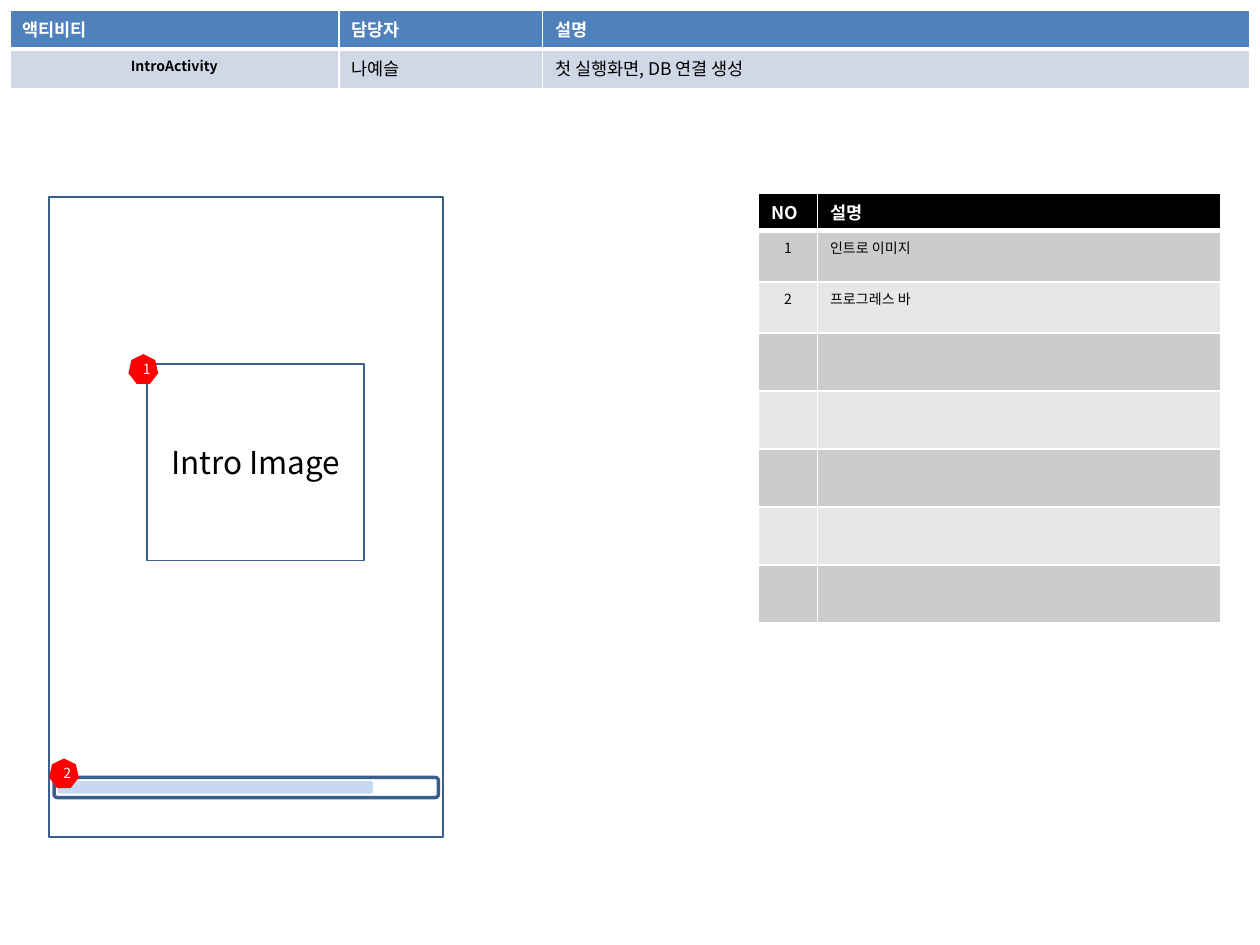
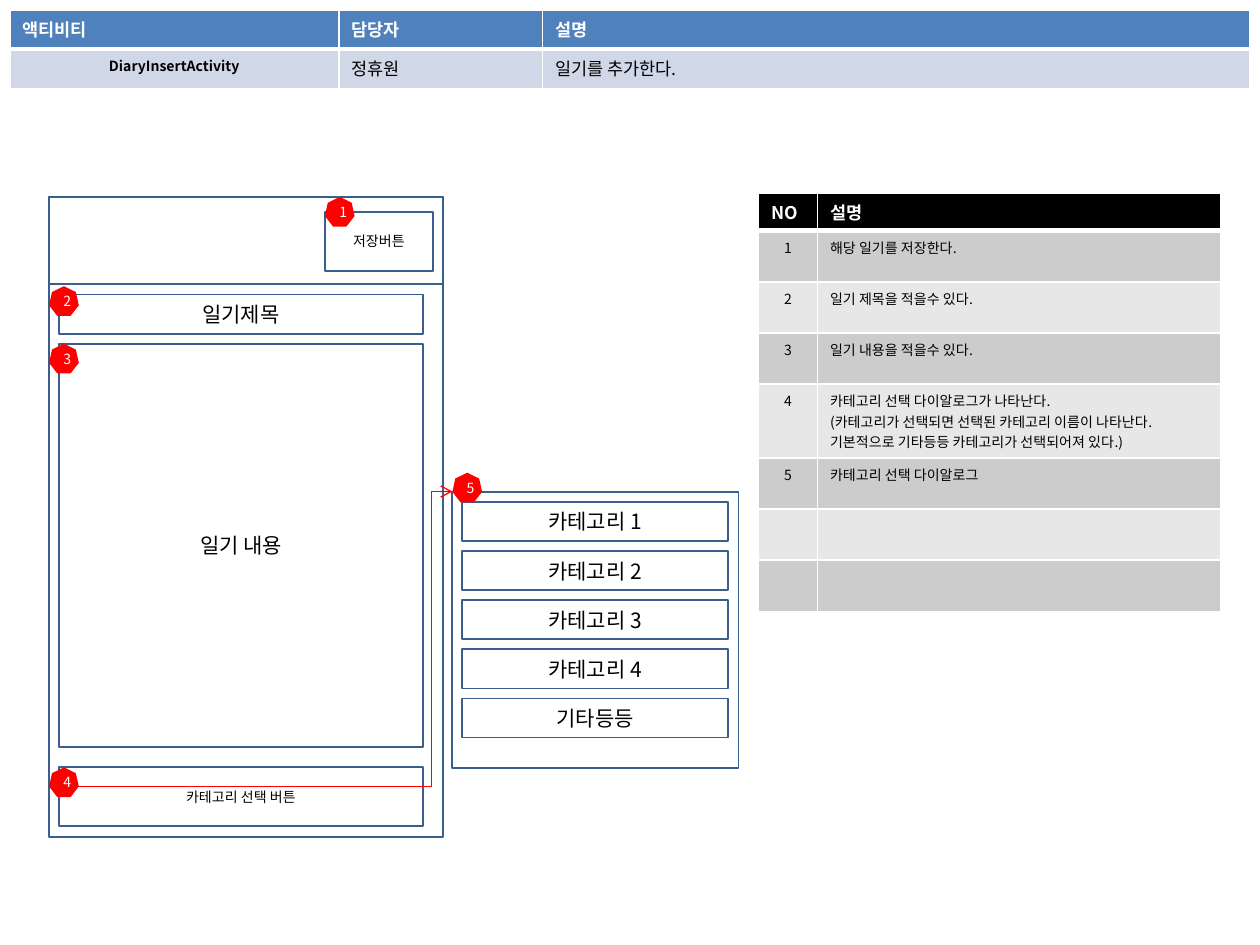
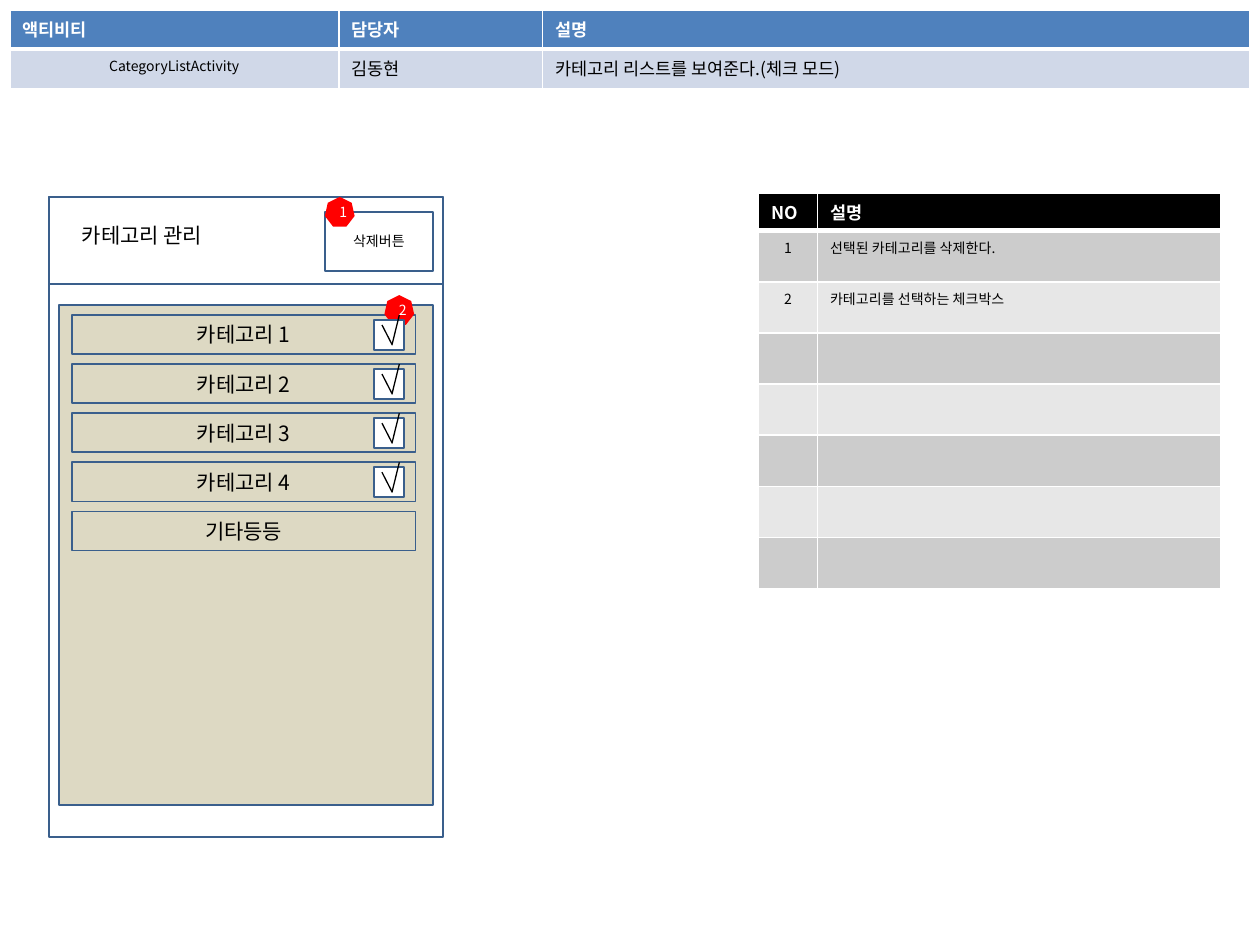
from dataclasses import dataclass
from typing import Optional

from lxml.etree import SubElement
from pptx import Presentation
from pptx.dml.color import RGBColor
from pptx.enum.shapes import MSO_CONNECTOR, MSO_SHAPE
from pptx.enum.text import MSO_ANCHOR, PP_ALIGN
from pptx.oxml.ns import qn
from pptx.util import Cm, Pt

FONT = "Noto Sans CJK KR"
BLACK = RGBColor(0x00, 0x00, 0x00)
WHITE = RGBColor(0xFF, 0xFF, 0xFF)
RED = RGBColor(0xFF, 0x00, 0x00)
OUTLINE = RGBColor(0x3A, 0x5F, 0x8C)
HEADER_BLUE = RGBColor(0x4F, 0x81, 0xBD)
ROW_BLUE = RGBColor(0xD0, 0xD8, 0xE8)
PROGRESS_BLUE = RGBColor(0xC6, 0xD9, 0xF1)
LIST_BEIGE = RGBColor(0xDD, 0xD9, 0xC3)
DARK_ROW = RGBColor(0xCC, 0xCC, 0xCC)
LIGHT_ROW = RGBColor(0xE7, 0xE7, 0xE7)

NOTE_ROWS = 7
LINE_STEP = 0.41
ITEM_STEP = 0.99
CATEGORIES = ["카테고리 1", "카테고리 2", "카테고리 3", "카테고리 4", "기타등등"]


@dataclass(frozen=True)
class Box:
    """A rectangle measured in centimetres."""
    x: float
    y: float
    w: float
    h: float

    def lengths(self) -> tuple:
        """Return the four sides as lengths."""
        return Cm(self.x), Cm(self.y), Cm(self.w), Cm(self.h)


@dataclass(frozen=True)
class Panel:
    """An outlined or filled shape of the wireframe."""
    box: Box
    text: str = ""
    size: float = 12
    fill: Optional[RGBColor] = None
    line: Optional[RGBColor] = OUTLINE
    line_width: float = 1
    color: RGBColor = BLACK
    kind: MSO_SHAPE = MSO_SHAPE.RECTANGLE


@dataclass(frozen=True)
class Screen:
    """The description of one activity screen."""
    activity: str
    owner: str
    summary: str
    notes: tuple
    bold_name: bool = True
    empty_row: float = 1.03


PHONE = Panel(Box(0.99, 3.97, 7.94, 12.9))
TITLE_BAR = Panel(Box(0.99, 3.97, 7.94, 1.75))
ACTION_BOX = Box(6.55, 4.27, 2.18, 1.19)

INTRO = Screen("IntroActivity", "나예슬", "첫 실행화면, DB 연결 생성",
               ("인트로 이미지", "프로그레스 바"), empty_row=1.17)
INSERT = Screen("DiaryInsertActivity", "정휴원", "일기를 추가한다.",
                ("해당 일기를 저장한다.",
                 "일기 제목을 적을수 있다.",
                 "일기 내용을 적을수 있다.",
                 "카테고리 선택 다이알로그가 나타난다.\n"
                 "(카테고리가 선택되면 선택된 카테고리 이름이 나타난다.\n"
                 "기본적으로 기타등등 카테고리가 선택되어져 있다.)",
                 "카테고리 선택 다이알로그"))
LISTING = Screen("CategoryListActivity", "김동현",
                 "카테고리 리스트를 보여준다.(체크 모드)",
                 ("선택된 카테고리를 삭제한다.", "카테고리를 선택하는 체크박스"),
                 bold_name=False)


def write(tf, text: str, size: float, color: RGBColor, bold: bool = False,
          align: PP_ALIGN = PP_ALIGN.LEFT) -> None:
    """Fill a text frame with one run per line of text."""
    for i, line in enumerate(text.split("\n")):
        p = tf.paragraphs[0] if i == 0 else tf.add_paragraph()
        p.alignment = align
        if not line:
            SubElement(p._p, qn("a:endParaRPr"), sz=str(int(size * 100)))
            continue
        r = p.add_run()
        r.text = line
        r.font.size, r.font.bold, r.font.name = Pt(size), bold, FONT
        r.font.color.rgb = color
        SubElement(r._r.get_or_add_rPr(), qn("a:ea"), typeface=FONT)


def add_panel(shapes, panel: Panel) -> None:
    """Draw a panel with its centred label."""
    shape = shapes.add_shape(panel.kind, *panel.box.lengths())
    shape.shadow.inherit = False
    if panel.fill is None:
        shape.fill.background()
    else:
        shape.fill.solid()
        shape.fill.fore_color.rgb = panel.fill
    if panel.line is None:
        shape.line.fill.background()
    else:
        shape.line.color.rgb = panel.line
        shape.line.width = Pt(panel.line_width)
    if panel.text:
        tf = shape.text_frame
        tf.vertical_anchor = MSO_ANCHOR.MIDDLE
        write(tf, panel.text, panel.size, panel.color, align=PP_ALIGN.CENTER)


def add_badge(s, number: int, x: float, y: float) -> None:
    """Draw a numbered red marker."""
    add_panel(s.shapes, Panel(Box(x, y, 0.6, 0.6), str(number), 8, RED, None,
                              color=WHITE, kind=MSO_SHAPE.HEPTAGON))


def add_line(shapes, kind: MSO_CONNECTOR, start: tuple, end: tuple,
             color: RGBColor):
    """Draw a thin connector without shadow."""
    line = shapes.add_connector(kind, *map(Cm, start + end))
    line.line.color.rgb = color
    line.line.width = Pt(0.75)
    SubElement(line._element.spPr, qn("a:effectLst"))
    return line


def add_dialog_arrow(s) -> None:
    """Draw the bent arrow from the category button to its dialog."""
    arrow = add_line(s.shapes, MSO_CONNECTOR.ELBOW, (1.57, 15.85),
                     (9.12, 9.91), RED)
    guides = arrow._element.spPr.find(qn("a:prstGeom")).get_or_add_avLst()
    SubElement(guides, qn("a:gd"), name="adj1", fmla="val 94500")
    SubElement(arrow.line._get_or_add_ln(), qn("a:tailEnd"), type="arrow")


def style_cell(cell, fill: RGBColor, bottom: float = 1) -> None:
    """Give a cell its white borders and its fill."""
    tc_pr = cell._tc.get_or_add_tcPr()
    for side, width in (("L", 1), ("R", 1), ("T", 1), ("B", bottom)):
        ln = SubElement(tc_pr, qn(f"a:ln{side}"), w=str(Pt(width)))
        color = SubElement(ln, qn("a:solidFill"))
        SubElement(color, qn("a:srgbClr"), val=str(WHITE))
    cell.fill.solid()
    cell.fill.fore_color.rgb = fill


def add_grid(s, x: float, y: float, widths: tuple, heights: list,
             headings: tuple, heading_fill: RGBColor):
    """Add a plain table with its heading row and return it."""
    box = Box(x, y, sum(widths), sum(heights))
    table = s.shapes.add_table(len(heights), len(widths),
                               *box.lengths()).table
    table.first_row = table.horz_banding = False
    for column, width in zip(table.columns, widths):
        column.width = Cm(width)
    for row, height in zip(table.rows, heights):
        row.height = Cm(height)
    for cell, heading in zip(table.rows[0].cells, headings):
        style_cell(cell, heading_fill, 3)
        write(cell.text_frame, heading, 10, WHITE, True)
    return table


def add_header(s, screen: Screen) -> None:
    """Add the activity table across the top."""
    table = add_grid(s, 0.2, 0.2, (6.63, 4.11, 14.25), [0.79, 0.79],
                     ("액티비티", "담당자", "설명"), HEADER_BLUE)
    name, owner, summary = table.rows[1].cells
    for cell in (name, owner, summary):
        style_cell(cell, ROW_BLUE)
    write(name.text_frame, screen.activity, 8, BLACK, screen.bold_name,
          PP_ALIGN.CENTER)
    write(owner.text_frame, screen.owner, 10, BLACK)
    write(summary.text_frame, screen.summary, 10, BLACK)


def add_notes(s, screen: Screen) -> None:
    """Add the numbered explanation table."""
    notes = list(screen.notes)
    heights = [max(1.03, 0.26 + LINE_STEP * len(n.split("\n"))) for n in notes]
    blanks = NOTE_ROWS - len(notes)
    heights = [0.76] + heights + [screen.empty_row] * blanks
    table = add_grid(s, 15.29, 3.89, (1.19, 8.13), heights,
                     ("NO", "설명"), BLACK)
    for i, note in enumerate(notes + [""] * blanks, 1):
        number, text = table.rows[i].cells
        for cell in (number, text):
            style_cell(cell, DARK_ROW if i % 2 else LIGHT_ROW)
        write(number.text_frame, str(i) if note else "", 8, BLACK,
              align=PP_ALIGN.CENTER)
        write(text.text_frame, note, 8, BLACK)


def add_categories(s, x: float, y: float, w: float) -> None:
    """Stack the category boxes at an equal step."""
    for i, category in enumerate(CATEGORIES):
        add_panel(s.shapes, Panel(Box(x, y + i * ITEM_STEP, w, 0.79), category))


def add_checkbox(s, x: float, y: float) -> None:
    """Draw a ticked box as a group."""
    shapes = s.shapes.add_group_shape().shapes
    add_panel(shapes, Panel(Box(x, y + 0.1, 0.6, 0.6), fill=WHITE,
                            kind=MSO_SHAPE.FLOWCHART_PROCESS))
    for dx, dy, bottom in ((0.16, 0.2, 0.59), (0.51, 0, 0.61)):
        add_line(shapes, MSO_CONNECTOR.STRAIGHT, (x + dx, y + dy),
                 (x + 0.36, y + bottom), BLACK)


def start_slide(prs, screen: Screen):
    """Add a slide with its tables and phone frame."""
    s = prs.slides.add_slide(prs.slide_layouts[6])
    add_header(s, screen)
    add_panel(s.shapes, PHONE)
    add_notes(s, screen)
    return s


def add_title_bar(s, action: str) -> None:
    """Draw the title bar with its action button."""
    add_panel(s.shapes, TITLE_BAR)
    add_panel(s.shapes, Panel(ACTION_BOX, action, 8))
    add_badge(s, 1, 6.55, 3.97)


def build_intro(prs) -> None:
    """Build the intro screen."""
    s = start_slide(prs, INTRO)
    rounded = MSO_SHAPE.ROUNDED_RECTANGLE
    for panel in (
            Panel(Box(1.09, 15.67, 7.75, 0.41), line_width=2, kind=rounded),
            Panel(Box(1.17, 15.75, 6.35, 0.25), fill=PROGRESS_BLUE, line=None,
                  kind=rounded),
            Panel(Box(2.97, 7.34, 4.37, 3.96), "Intro Image", 18,
                  kind=MSO_SHAPE.FLOWCHART_PROCESS)):
        add_panel(s.shapes, panel)
    add_badge(s, 1, 2.59, 7.14)
    add_badge(s, 2, 0.99, 15.29)


def build_insert(prs) -> None:
    """Build the diary entry screen."""
    s = start_slide(prs, INSERT)
    add_title_bar(s, "저장버튼")
    fields = (Panel(Box(1.19, 5.94, 7.34, 0.79), "일기제목"),
              Panel(Box(1.19, 6.93, 7.34, 8.13), "일기 내용"),
              Panel(Box(1.19, 15.47, 7.34, 1.19), "카테고리 선택 버튼", 8))
    for field in fields:
        add_panel(s.shapes, field)
    for number, y in enumerate((5.77, 6.93, 15.47), 2):
        add_badge(s, number, 0.99, y)
    add_panel(s.shapes, Panel(Box(9.12, 9.92, 5.77, 5.56)))
    add_categories(s, 9.32, 10.12, 5.36)
    add_badge(s, 5, 9.12, 9.53)
    add_dialog_arrow(s)


def build_listing(prs) -> None:
    """Build the category list screen."""
    s = start_slide(prs, LISTING)
    add_title_bar(s, "삭제버튼")
    tf = s.shapes.add_textbox(*Box(1.4, 4.37, 4.37, 0.76).lengths()).text_frame
    tf.word_wrap = True
    write(tf, "카테고리 관리", 12, BLACK)
    add_panel(s.shapes, Panel(Box(1.19, 6.15, 7.54, 10.08), fill=LIST_BEIGE))
    add_categories(s, 1.45, 6.35, 6.93)
    add_badge(s, 2, 7.75, 5.95)
    for i in range(len(CATEGORIES) - 1):
        add_checkbox(s, 7.54, 6.35 + i * ITEM_STEP)


def main() -> None:
    """Build and save the presentation."""
    prs = Presentation()
    prs.slide_width, prs.slide_height = Cm(25.4), Cm(19.05)
    for build in (build_intro, build_insert, build_listing):
        build(prs)
    prs.save("out.pptx")


if __name__ == "__main__":
    main()
